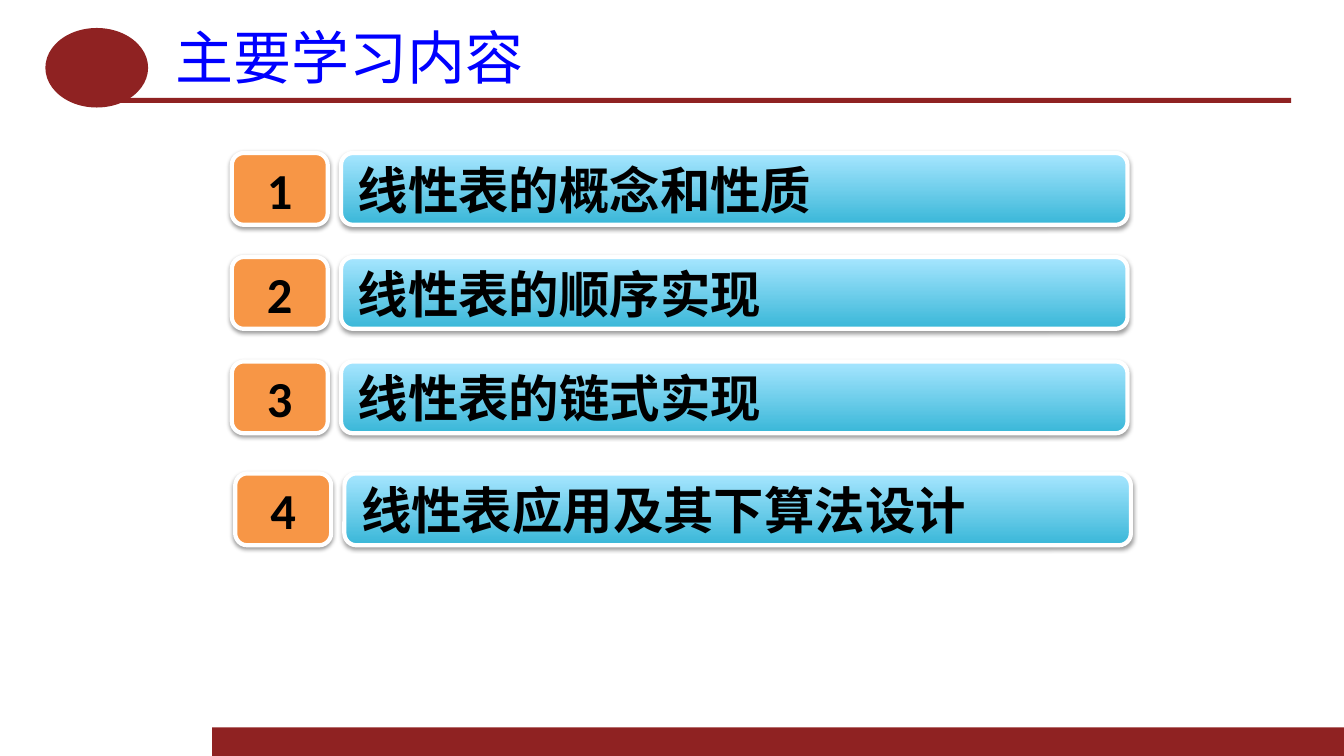
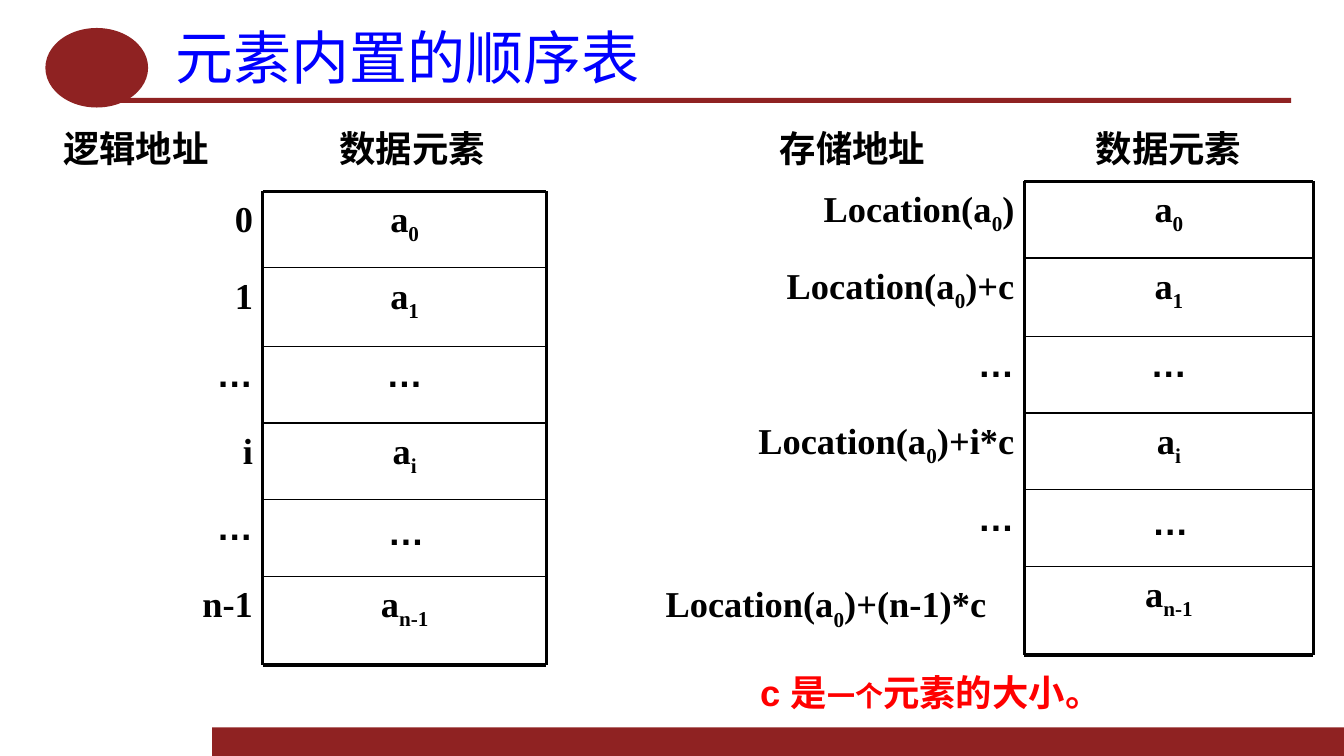
"""Builds two lecture slides on linear lists and sequential storage."""
from itertools import accumulate
from lxml.etree import SubElement
from pptx import Presentation
from pptx.dml.color import RGBColor
from pptx.enum.shapes import MSO_CONNECTOR as Connector, MSO_SHAPE as Preset
from pptx.enum.text import MSO_ANCHOR as Anchor, MSO_AUTO_SIZE as AutoSize, PP_ALIGN as Align
from pptx.oxml.ns import qn
from pptx.util import Pt

COLORS = {
    "band": "8F2222", "title": "0000FF", "number": "F79646", "white": "FFFFFF",
    "deep": "39B7D8", "pale": "A7E6FF", "ink": "000000", "note": "FF0000",
}
CJK, SERIF, SANS, ROUND = "Noto Sans CJK SC", "Times New Roman", "Arial", "Calibri"
BODY = 26
THIN, THICK = 1, 2.25
ROW_HEIGHTS = (54.7, 56.2, 54.7, 54.7, 54.7, 63.4)


def rgb(name):
    return RGBColor.from_string(COLORS[name])


class Lecture:
    def __init__(self):
        self.deck = Presentation()
        self.deck.slide_width, self.deck.slide_height = Pt(960), Pt(540)
        self.page = None

    def new_page(self, title):
        self.page = self.deck.slides.add_slide(self.deck.slide_layouts[5])
        self.shape(Preset.RECTANGLE, 151.5, 519.5, 808.5, 20.5, "band")
        self.shape(Preset.RECTANGLE, 85, 70, 837.2, 3.5, "band")
        self.shape(Preset.OVAL, 32.4, 20, 73.4, 56.8, "band")
        box = self.page.shapes.title
        box.left, box.top, box.width, box.height = Pt(116.2), Pt(15), Pt(806), Pt(51)
        self.span(self.frame(box), title, 41.4, CJK, "title", bold=False)

    def frame(self, box, align=Align.LEFT, inset=(9.4, 4.7), anchor=Anchor.MIDDLE):
        frame = box.text_frame
        frame.word_wrap, frame.auto_size = True, AutoSize.NONE
        frame.vertical_anchor = anchor
        frame.margin_left = frame.margin_right = Pt(inset[0])
        frame.margin_top = frame.margin_bottom = Pt(inset[1])
        para = frame.paragraphs[0]
        para.alignment = align
        return para

    def span(self, para, text, size, font, color="ink", bold=True, sub=False):
        run = para.add_run()
        run.text = text
        run.font.size, run.font.bold, run.font.name = Pt(size), bold, font
        run.font.color.rgb = rgb(color)
        props = run._r.get_or_add_rPr()
        SubElement(props, qn("a:ea")).set("typeface", SANS if text == "…" else CJK)
        if sub:
            props.set("baseline", "-25000")

    def shape(self, preset, left, top, width, height, color):
        shape = self.page.shapes.add_shape(preset, Pt(left), Pt(top), Pt(width), Pt(height))
        shape.shadow.inherit = False
        shape.fill.solid()
        shape.fill.fore_color.rgb = rgb(color)
        shape.line.fill.background()
        return shape

    def tile(self, left, top, width, text, align, gradient=False):
        tile = self.shape(Preset.ROUNDED_RECTANGLE, left, top, width, 51.3, "number")
        tile.line.color.rgb, tile.line.width = rgb("white"), Pt(3)
        if gradient:
            tile.fill.gradient()
            tile.fill.gradient_angle = 90
            for stop, color in zip(tile.fill.gradient_stops, ("deep", "pale")):
                stop.color.rgb = rgb(color)
        effects = tile._element.spPr.find(qn("a:effectLst"))
        shadow = SubElement(effects, qn("a:outerShdw"), blurRad=str(Pt(3.1)),
                            dist=str(Pt(1.6)), dir="5400000", rotWithShape="0")
        tint = SubElement(shadow, qn("a:srgbClr"), val=COLORS["ink"])
        SubElement(tint, qn("a:alpha"), val="38000")
        self.span(self.frame(tile, align), text, 36, ROUND)

    def text(self, left, top, width, height, align=Align.LEFT, inset=7.2, before=4):
        box = self.page.shapes.add_textbox(Pt(left), Pt(top), Pt(width), Pt(height))
        para = self.frame(box, align, (inset, 3.6), Anchor.TOP)
        para.space_before = Pt(before)
        return para

    def entry(self, left, top, width, height, parts, align):
        para = self.text(left, top, width, height, align)
        for index, part in enumerate(parts):
            font = SANS if part == "…" else SERIF
            self.span(para, part, BODY, font, sub=index % 2 == 1)

    def line(self, left, top, right, bottom, weight):
        line = self.page.shapes.add_connector(
            Connector.STRAIGHT, Pt(left), Pt(top), Pt(right), Pt(bottom))
        line.line.color.rgb, line.line.width = rgb("ink"), Pt(weight)
        SubElement(line._element.spPr, qn("a:effectLst"))

    def memory(self, left, top, label_width, width, labels, elements, final_shift=(0, 0)):
        edges = list(accumulate(ROW_HEIGHTS, initial=top))
        right, bottom, last = left + width, edges[-1], len(ROW_HEIGHTS) - 1
        for row, height in enumerate(ROW_HEIGHTS):
            across, down = final_shift if row == last else (0, 0)
            self.entry(left - label_width + across, edges[row] + down, label_width,
                       height - down, labels[row], Align.RIGHT)
            nudge_x, nudge_y = (1, 3) if row == last - 1 else (0, 0)
            self.entry(left + nudge_x, edges[row] + nudge_y, width,
                       height - nudge_y, elements[row], Align.CENTER)
        for edge in edges:
            weight = THICK if edge in (top, bottom) else THIN
            self.line(left, edge, right, edge, weight)
        for side in (left, right):
            self.line(side, top, side, bottom, THICK)


def contents_page(lecture):
    lecture.new_page("主要学习内容")
    topics = (
        (165.6, 109.3, "线性表的概念和性质"),
        (165.6, 183.6, "线性表的顺序实现"),
        (165.6, 258.2, "线性表的链式实现"),
        (168, 338.2, "线性表应用及其下算法设计"),
    )
    for number, (left, top, topic) in enumerate(topics, 1):
        lecture.tile(left, top, 68.5, str(number), Align.CENTER)
        lecture.tile(left + 78, top, 561.8, topic, Align.LEFT, gradient=True)


def storage_page(lecture):
    lecture.new_page("元素内置的顺序表")
    headings = (
        (38, 171, "逻辑地址", Align.LEFT), (209, 171, "数据元素", Align.CENTER),
        (491.7, 176.5, "存储地址", Align.RIGHT), (731.7, 206, "数据元素", Align.CENTER),
    )
    for left, width, heading, align in headings:
        para = lecture.text(left, 86.5, width, 36, align)
        lecture.span(para, heading, BODY, CJK)

    elements = (("a", "0"), ("a", "1"), ("…",), ("a", "i"), ("…",), ("a", "n-1"))
    indexes = [(index,) for index in ("0", "1", "…", "i", "…", "n-1")]
    addresses = [("…",) if tail == "…" else ("Location(a", "0", tail)
                 for tail in (")", ")+c", "…", ")+i*c", "…", ")+(n-1)*c")]
    lecture.memory(187.8, 136.6, 187.8, 202.5, indexes, elements)
    lecture.memory(731.7, 129.5, 337.7, 206.4, addresses, elements, final_shift=(-20, 7.4))

    note = lecture.text(543, 475.2, 371.5, 39, inset=0, before=9)
    for words, size in (("c 是", BODY), ("一个", 20), ("元素的大小。", BODY)):
        lecture.span(note, words, size, SANS, "note")


def main():
    lecture = Lecture()
    contents_page(lecture)
    storage_page(lecture)
    lecture.deck.save("out.pptx")


if __name__ == "__main__":
    main()
